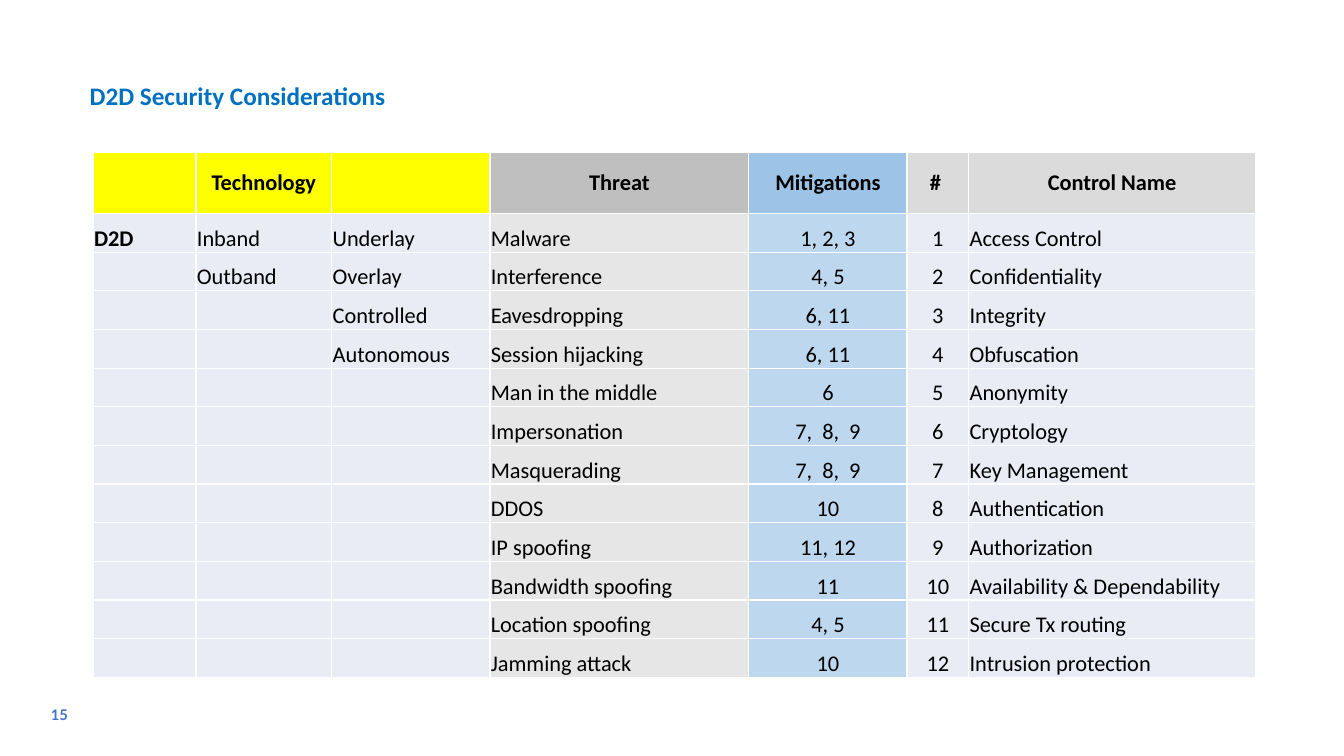
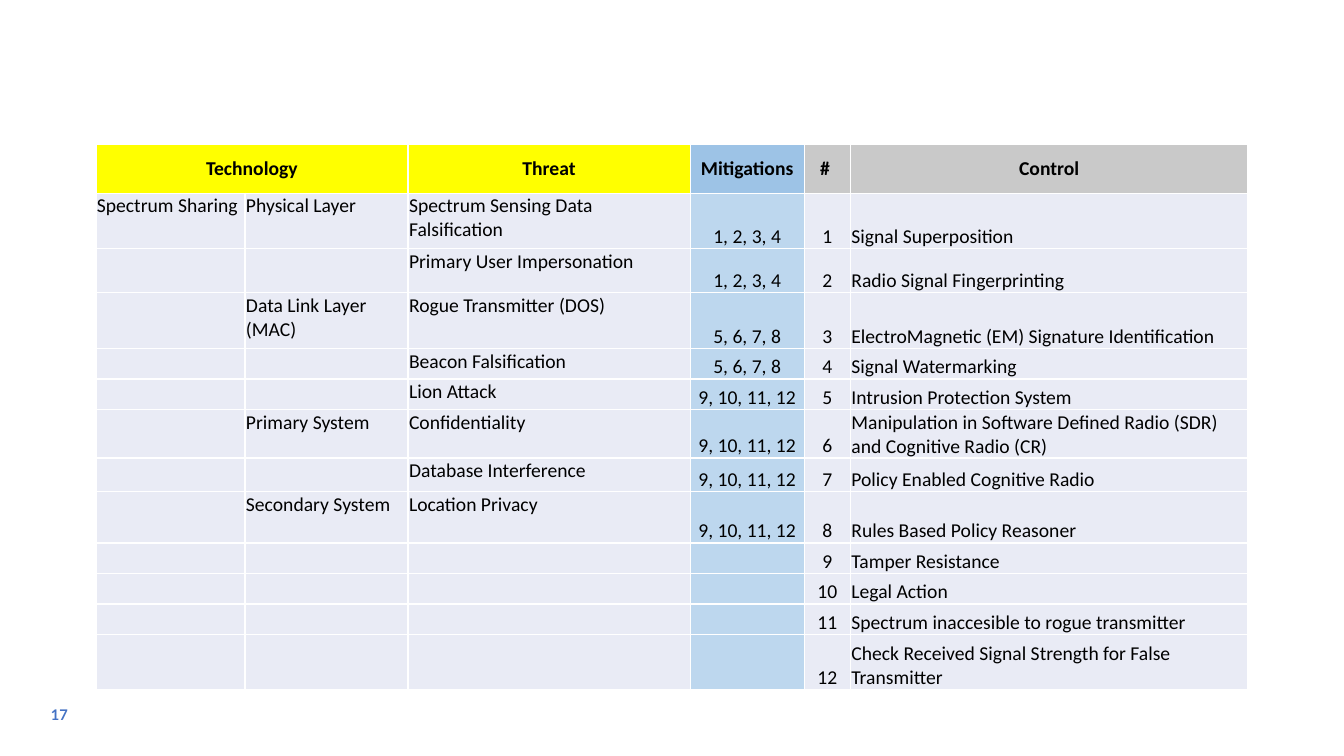
"""Build two slides that map security threats to mitigations and controls."""
from dataclasses import dataclass

from lxml.etree import SubElement
from pptx import Presentation
from pptx.dml.color import RGBColor
from pptx.enum.text import MSO_ANCHOR as Anchor, MSO_AUTO_SIZE as AutoSize, PP_ALIGN as Align
from pptx.oxml.ns import qn
from pptx.slide import Slide
from pptx.table import _Cell as Cell
from pptx.util import Pt

WHITE = RGBColor(0xFF, 0xFF, 0xFF)
BLACK = RGBColor(0x00, 0x00, 0x00)
YELLOW = RGBColor(0xFF, 0xFF, 0x00)
SILVER = RGBColor(0xBF, 0xBF, 0xBF)
MID_GRAY = RGBColor(0xC9, 0xC9, 0xC9)
LIGHT_GRAY = RGBColor(0xDB, 0xDB, 0xDB)
PALE_GRAY = RGBColor(0xE7, 0xE6, 0xE6)
SKY = RGBColor(0x9D, 0xC3, 0xE6)
PALE_SKY = RGBColor(0xBD, 0xD7, 0xEE)
LAVENDER = RGBColor(0xE9, 0xEB, 0xF5)
TITLE_BLUE = RGBColor(0x00, 0x70, 0xC0)
NUMBER_BLUE = RGBColor(0x44, 0x72, 0xC4)
BODY_FONT = "Calibri"
NUMBER_FONT = "Lato"
CONTROL_NUMBERS = tuple(str(number) for number in range(1, 13))


@dataclass(frozen=True)
class Column:
    """One table column, with its entries from the top row down."""

    heading: str
    width: float
    heading_fill: RGBColor
    entries: tuple[str, ...] = ()
    fill: RGBColor = LAVENDER
    align: Align = Align.LEFT
    anchor: Anchor = Anchor.BOTTOM
    bold: bool = False
    heading_span: int = 1


@dataclass(frozen=True)
class ThreatSlide:
    """The contents and table geometry of one slide."""

    number: int
    left: float
    top: float
    font_size: float
    row_heights: tuple[float, ...]
    columns: tuple[Column, ...]
    title: str = ""


D2D = ThreatSlide(
    number=15, left=66.5, top=108.5, font_size=16,
    row_heights=(44,) + (27.62,) * 12,
    title="D2D Security Considerations",
    columns=(
        Column("", 73.5, YELLOW, ("D2D",), bold=True),
        Column("Technology", 97, YELLOW, ("Inband", "Outband")),
        Column("", 113, YELLOW, ("Underlay", "Overlay", "Controlled", "Autonomous")),
        Column("Threat", 185, SILVER, (
            "Malware", "Interference", "Eavesdropping", "Session hijacking",
            "Man in the middle", "Impersonation", "Masquerading", "DDOS",
            "IP spoofing", "Bandwidth spoofing", "Location spoofing", "Jamming attack",
        ), PALE_GRAY),
        Column("Mitigations", 113, SKY, (
            "1, 2, 3", "4, 5", "6, 11", "6, 11", "6", "7,  8,  9", "7,  8,  9",
            "10", "11, 12", "11", "4, 5", "10",
        ), PALE_SKY, Align.CENTER),
        Column("# ", 44, LIGHT_GRAY, CONTROL_NUMBERS, align=Align.CENTER),
        Column("Control Name", 205, LIGHT_GRAY, (
            "Access Control", "Confidentiality", "Integrity", "Obfuscation",
            "Anonymity", "Cryptology", "Key Management", "Authentication",
            "Authorization", "Availability & Dependability", "Secure Tx routing",
            "Intrusion protection",
        )),
    ),
)

SPECTRUM = ThreatSlide(
    number=17, left=68.5, top=103, font_size=14,
    row_heights=(35, 39.5, 31.5, 40, 21.8, 21.8, 34.6, 24.2, 36.5, 21.8, 21.8, 21.8, 39.5),
    columns=(
        Column("Technology", 106.5, YELLOW, ("Spectrum Sharing",),
               anchor=Anchor.TOP, heading_span=2),
        Column("", 116.5, YELLOW, (
            "Physical Layer", "", "Data Link Layer (MAC)", "", "",
            "Primary System", "", "Secondary System",
        ), anchor=Anchor.TOP),
        Column("Threat", 201.5, YELLOW, (
            "Spectrum Sensing Data Falsification", "Primary User Impersonation",
            "Rogue Transmitter (DOS)", "Beacon Falsification", "Lion Attack",
            "Confidentiality", "Database Interference", "Location Privacy",
        ), anchor=Anchor.TOP),
        Column("Mitigations", 81.5, SKY,
               ("1, 2, 3, 4",) * 2 + ("5, 6, 7, 8",) * 2 + ("9, 10, 11, 12",) * 4,
               PALE_SKY, Align.CENTER),
        Column("# ", 33, MID_GRAY, CONTROL_NUMBERS, align=Align.CENTER),
        Column("Control", 284, MID_GRAY, (
            "Signal Superposition", "Radio Signal Fingerprinting",
            "ElectroMagnetic (EM) Signature Identification", "Signal Watermarking",
            "Intrusion Protection System",
            "Manipulation in Software Defined Radio (SDR) and Cognitive Radio (CR)",
            "Policy Enabled Cognitive Radio", "Rules Based Policy Reasoner",
            "Tamper Resistance", "Legal Action",
            "Spectrum inaccesible to rogue transmitter",
            "Check Received Signal Strength for False Transmitter",
        )),
    ),
)


def add_label(slide: Slide, text: str, box: tuple[float, float, float, float],
              font_name: str, size: float, color: RGBColor, *,
              align: Align = Align.LEFT, anchor: Anchor = Anchor.TOP, wrap: bool = True) -> None:
    """Add a bold one-line label; an unwrapped one grows with its text."""
    frame = slide.shapes.add_textbox(*map(Pt, box)).text_frame
    frame.word_wrap = wrap
    frame.auto_size = AutoSize.NONE if wrap else AutoSize.SHAPE_TO_FIT_TEXT
    frame.vertical_anchor = anchor
    line = frame.paragraphs[0]
    line.text = text
    line.alignment = align
    font = line.font
    font.name, font.size, font.bold = font_name, Pt(size), True
    font.color.rgb = color


def add_borders(cell: Cell) -> None:
    """Draw a thin white line on each side of a cell."""
    properties = cell._tc.get_or_add_tcPr()
    for position, side in enumerate(("lnL", "lnR", "lnT", "lnB")):
        border = properties.makeelement(qn(f"a:{side}"), {"w": str(Pt(1))})
        color = SubElement(SubElement(border, qn("a:solidFill")), qn("a:srgbClr"))
        color.set("val", str(WHITE))
        properties.insert(position, border)


def fill_cell(cell: Cell, text: str, size: float, fill: RGBColor,
              align: Align, anchor: Anchor, bold: bool) -> None:
    """Set the text and look of one table cell."""
    cell.margin_left = cell.margin_right = cell.margin_top = Pt(0.7)
    cell.margin_bottom = Pt(0)
    cell.vertical_anchor = anchor
    cell.fill.solid()
    cell.fill.fore_color.rgb = fill
    add_borders(cell)
    line = cell.text_frame.paragraphs[0]
    line.text = text
    line.alignment = align
    font = line.font
    font.name, font.size, font.bold = BODY_FONT, Pt(size), bold
    font.color.rgb = BLACK


def add_threat_table(slide: Slide, content: ThreatSlide) -> None:
    """Add the table column by column, headings first."""
    heights, columns = content.row_heights, content.columns
    width = sum(column.width for column in columns)
    table = slide.shapes.add_table(
        len(heights), len(columns), Pt(content.left), Pt(content.top),
        Pt(width), Pt(sum(heights))).table
    table.first_row = table.horz_banding = False
    for row, height in zip(table.rows, heights):
        row.height = Pt(height)
    for index, column in enumerate(columns):
        table.columns[index].width = Pt(column.width)
        heading = table.cell(0, index)
        fill_cell(heading, column.heading, content.font_size, column.heading_fill,
                  Align.CENTER, Anchor.MIDDLE, True)
        if column.heading_span > 1:
            heading.merge(table.cell(0, index + column.heading_span - 1))
        for row in range(1, len(heights)):
            entry = column.entries[row - 1] if row <= len(column.entries) else ""
            fill_cell(table.cell(row, index), entry, content.font_size, column.fill,
                      column.align, column.anchor, column.bold)


def main() -> None:
    """Build and save the presentation."""
    deck = Presentation()
    deck.slide_width, deck.slide_height = Pt(960), Pt(540)
    for content in (D2D, SPECTRUM):
        slide = deck.slides.add_slide(deck.slide_layouts[6])
        add_label(slide, str(content.number), (27.5, 496, 30, 29), NUMBER_FONT, 10.5,
                  NUMBER_BLUE, align=Align.CENTER, anchor=Anchor.MIDDLE)
        add_threat_table(slide, content)
        if content.title:
            add_label(slide, content.title, (57, 54, 265, 29), BODY_FONT, 18,
                      TITLE_BLUE, wrap=False)
    deck.save("out.pptx")


if __name__ == "__main__":
    main()
